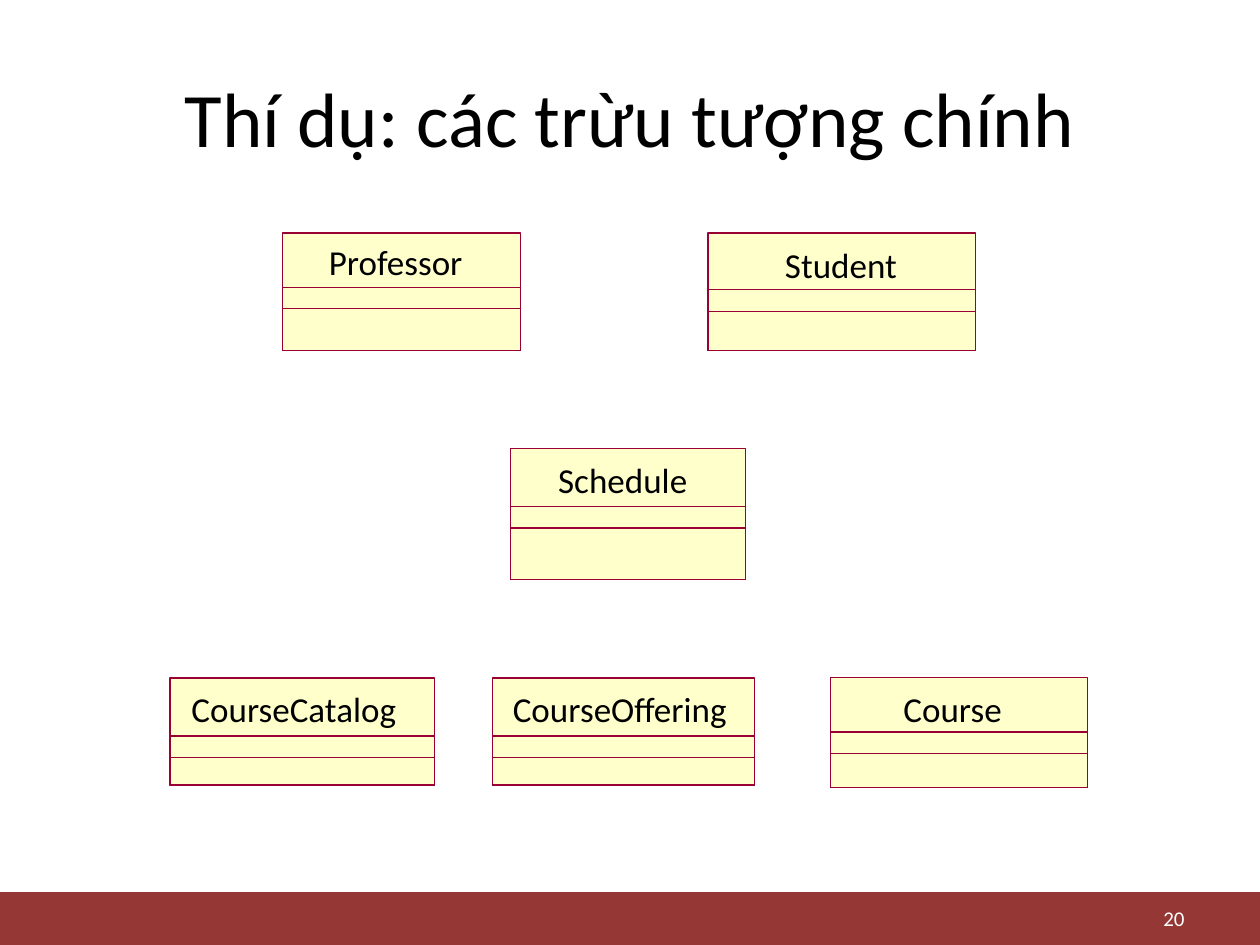
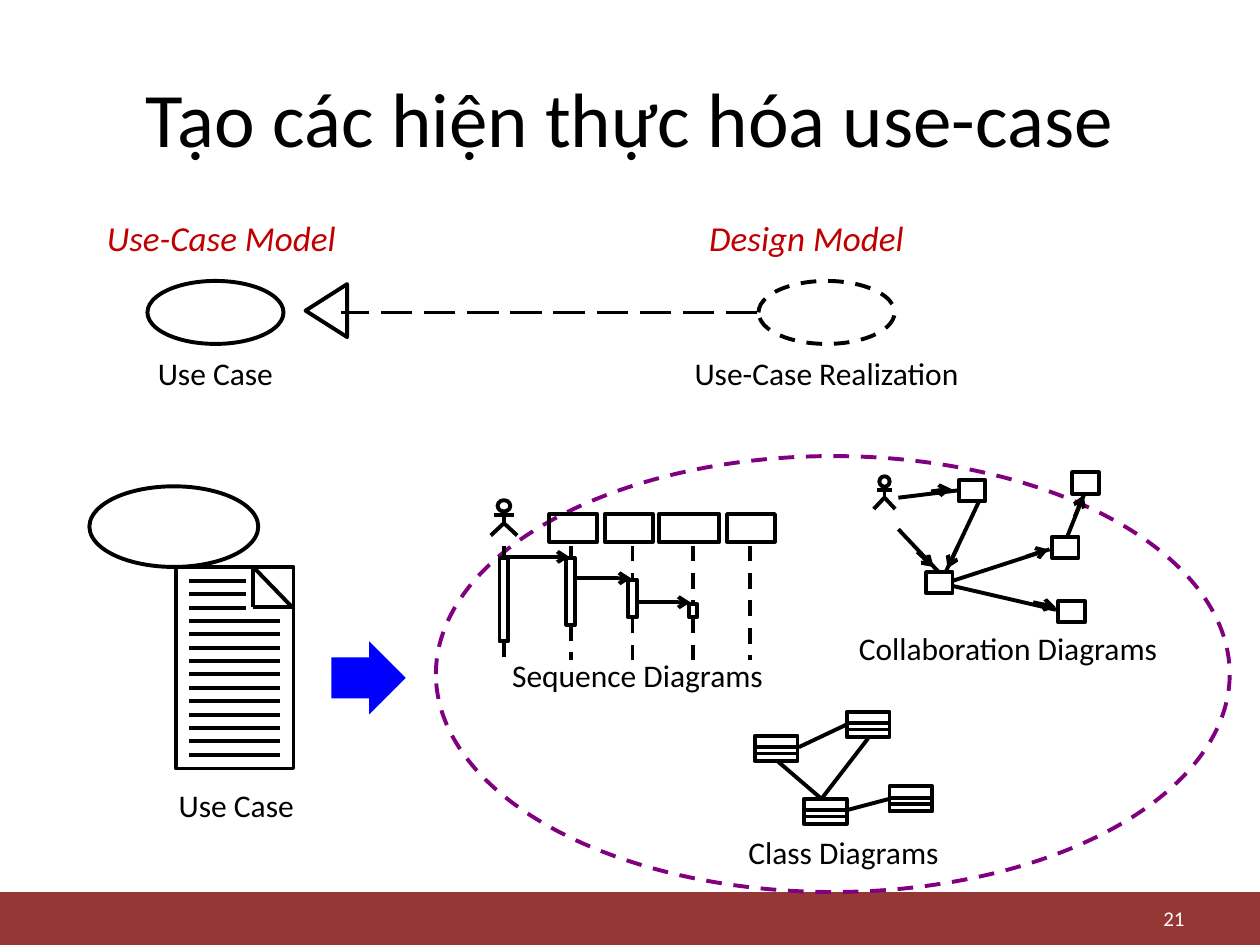
from dataclasses import dataclass
from typing import Optional

import pptx
import pptx.dml.color
import pptx.enum.dml
import pptx.enum.shapes
import pptx.enum.text
import pptx.oxml.ns
import pptx.oxml.xmlchemy
import pptx.shapes.autoshape
import pptx.slide
import pptx.util
from pptx.util import Inches

RGBColor = pptx.dml.color.RGBColor
BLACK = RGBColor(0x00, 0x00, 0x00)
WHITE = RGBColor(0xFF, 0xFF, 0xFF)
BAND_RED = RGBColor(0x95, 0x37, 0x35)
CLASS_FILL = RGBColor(0xFF, 0xFF, 0xCC)
CLASS_LINE = RGBColor(0x99, 0x00, 0x33)
MODEL_RED = RGBColor(0xC0, 0x00, 0x00)
REALIZATION_PURPLE = RGBColor(0x80, 0x00, 0x80)
ARROW_BLUE = RGBColor(0x00, 0x00, 0xFF)

FONT = "Calibri"
STROKE = 2.25
SHAPE = pptx.enum.shapes.MSO_SHAPE
DASH = pptx.enum.dml.MSO_LINE.DASH
LONG_DASH = pptx.enum.dml.MSO_LINE.LONG_DASH
ALIGN = pptx.enum.text.PP_ALIGN
MIDDLE = pptx.enum.text.MSO_ANCHOR.MIDDLE
Slide = pptx.slide.Slide
Shape = pptx.shapes.autoshape.Shape


@dataclass
class ClassBox:
    name: str
    left: float
    top: float
    width: float
    height: float
    name_height: float
    label_indent: float
    label_drop: float = 0.08


@dataclass
class Lifeline:
    x: float
    head_left: Optional[float] = None
    head_width: float = 0.38
    bar_top: Optional[float] = None
    bar_height: float = 0.0
    bar_width: float = 0.07


@dataclass
class Label:
    text: str
    left: float
    top: float
    width: float
    wrap: bool = True


CLASS_BOXES = [
    ClassBox("Student", 5.62, 1.85, 2.12, 0.93, 0.45, 0.61),
    ClassBox("Professor", 2.24, 1.85, 1.89, 0.93, 0.43, 0.37, 0.06),
    ClassBox("Schedule", 4.05, 3.56, 1.87, 1.04, 0.46, 0.38),
    ClassBox("CourseCatalog", 1.35, 5.38, 2.1, 0.85, 0.46, 0.17),
    ClassBox("Course", 6.59, 5.38, 2.04, 0.87, 0.43, 0.58),
    ClassBox("CourseOffering", 3.91, 5.38, 2.08, 0.85, 0.46, 0.16),
]
ATTRIBUTES_HEIGHT = 0.17

LIFELINES = [
    Lifeline(4.0, bar_top=4.43, bar_height=0.66),
    Lifeline(4.53, 4.36, bar_top=4.43, bar_height=0.53),
    Lifeline(5.02, 4.8, bar_top=4.6, bar_height=0.3),
    Lifeline(5.5, 5.23, 0.48, bar_top=4.79, bar_height=0.11, bar_width=0.06),
    Lifeline(5.95, 5.77),
]
LIFELINE_TOP, LIFELINE_BOTTOM = 4.33, 5.24
MESSAGES = [(3.99, 4.52, 4.42), (4.56, 5.01, 4.59), (5.07, 5.48, 4.78)]

CLASS_ICONS = [(5.99, 5.84), (6.72, 5.65), (6.38, 6.34), (7.06, 6.24)]
CLASS_LINKS = [
    (6.52, 6.34, 6.17, 6.04), (6.34, 5.93, 6.72, 5.75),
    (6.72, 6.43, 7.06, 6.34), (6.52, 6.34, 6.89, 5.86),
]

OBJECTS = [(7.61, 3.81), (7.35, 4.54), (8.4, 4.77), (8.35, 4.26), (8.51, 3.75)]
OBJECT_LINKS = [
    (7.13, 4.2, 7.45, 4.54), (7.13, 3.95, 7.62, 3.89), (7.56, 4.65, 8.38, 4.84),
    (7.56, 4.61, 8.33, 4.36), (8.47, 4.26, 8.61, 3.91), (7.77, 3.98, 7.51, 4.53),
]
OBJECT_ARROWS = [
    (7.28, 4.38, 7.41, 4.5), (7.6, 4.34, 7.52, 4.51), (8.14, 4.42, 8.32, 4.36),
    (8.2, 4.78, 8.38, 4.82), (8.53, 4.1, 8.6, 3.93), (7.39, 3.9, 7.55, 3.88),
]

CAPTIONS = [
    Label("Use Case", 1.06, 2.76, 1.3, wrap=False),
    Label("Use-Case Realization", 5.25, 2.76, 2.62, wrap=False),
    Label("Use Case", 1.03, 6.19, 1.69),
    Label("Sequence Diagrams", 3.82, 5.16, 2.48),
    Label("Collaboration Diagrams", 6.59, 4.94, 2.82),
    Label("Class Diagrams", 5.71, 6.56, 1.97, wrap=False),
]
MODEL_HEADINGS = [("Use-Case Model", 0.75), ("Design Model", 5.53)]


def set_text(sp: Shape, text: str, size: float, color: RGBColor = BLACK,
             align: ALIGN = ALIGN.LEFT, italic: bool = False) -> None:
    p = sp.text_frame.paragraphs[0]
    p.alignment = align
    r = p.add_run()
    r.text = text
    for key, value in {"name": FONT, "size": pptx.util.Pt(size), "italic": italic}.items():
        setattr(r.font, key, value)
    r.font.color.rgb = color


def add_text(s: Slide, text: str, left: float, top: float, width: float, height: float,
             size: float, color: RGBColor = BLACK, align: ALIGN = ALIGN.LEFT,
             italic: bool = False, **frame: object) -> None:
    """Add a text box; extra keywords are set on its text frame."""
    sp = s.shapes.add_textbox(Inches(left), Inches(top), Inches(width), Inches(height))
    for key, value in {"word_wrap": True, **frame}.items():
        setattr(sp.text_frame, key, value)
    set_text(sp, text, size, color, align, italic)


def outline(sp: Shape, color: Optional[RGBColor] = BLACK, width: float = STROKE,
            dash: Optional[DASH] = None) -> None:
    sp.shadow.inherit = False
    if color is None:
        sp.line.fill.background()
        return
    sp.line.color.rgb = color
    sp.line.width = pptx.util.Pt(width)
    if dash is not None:
        sp.line.dash_style = dash


def add_shape(s: Slide, kind: SHAPE, left: float, top: float, width: float, height: float,
              fill: Optional[RGBColor] = None, line: Optional[RGBColor] = BLACK,
              line_width: float = STROKE, dash: Optional[DASH] = None) -> Shape:
    sp = s.shapes.add_shape(kind, Inches(left), Inches(top), Inches(width), Inches(height))
    if fill is None:
        sp.fill.background()
    else:
        sp.fill.solid()
        sp.fill.fore_color.rgb = fill
    outline(sp, line, line_width, dash)
    return sp


def add_line(s: Slide, x1: float, y1: float, x2: float, y2: float,
             dash: Optional[DASH] = None, arrow: bool = False) -> None:
    c = s.shapes.add_connector(pptx.enum.shapes.MSO_CONNECTOR.STRAIGHT,
                               Inches(x1), Inches(y1), Inches(x2), Inches(y2))
    c.line.color.rgb = BLACK
    c.line.width = pptx.util.Pt(STROKE)
    if dash is not None:
        c.line.dash_style = dash
    properties = c.element.spPr
    if arrow:
        tail = pptx.oxml.xmlchemy.OxmlElement("a:tailEnd")
        tail.set("type", "arrow")
        properties.find(pptx.oxml.ns.qn("a:ln")).append(tail)
    properties.append(pptx.oxml.xmlchemy.OxmlElement("a:effectLst"))


def add_base_slide(prs: pptx.presentation.Presentation, title: str, number: int) -> Slide:
    """Add a slide with the shared title, footer band and page number."""
    s = prs.slides.add_slide(prs.slide_layouts[5])
    add_shape(s, SHAPE.RECTANGLE, 0, 7.08, 10, 0.42, BAND_RED, None)
    sp = s.shapes.title
    place = {"left": 0.5, "top": 0.3, "width": 9, "height": 1.25}
    for key, value in place.items():
        setattr(sp, key, Inches(value))
    sp.text_frame.vertical_anchor = MIDDLE
    set_text(sp, title, 44, align=ALIGN.CENTER)
    add_text(s, str(number), 7.17, 7.15, 2.33, 0.27, 12, WHITE, ALIGN.RIGHT,
             vertical_anchor=MIDDLE)
    return s


def add_class_box(s: Slide, box: ClassBox) -> None:
    no_margins = dict.fromkeys(("margin_left", "margin_top", "margin_right", "margin_bottom"), 0)
    for drop in (0, box.name_height, box.name_height + ATTRIBUTES_HEIGHT):
        add_shape(s, SHAPE.RECTANGLE, box.left, box.top + drop, box.width, box.height - drop,
                  None if drop else CLASS_FILL, CLASS_LINE, 0)
    add_text(s, box.name, box.left + box.label_indent, box.top + box.label_drop,
             box.width - box.label_indent, 0.33, 20, word_wrap=False, **no_margins)


def add_actor(s: Slide, x: float, top: float, width: float, height: float) -> None:
    """Draw a stick figure centred on x."""
    head, arm, leg = width * 0.48, width * 0.37, width / 2
    shoulder, arms, hip, foot = (top + height * part for part in (0.35, 0.43, 0.65, 1))
    add_shape(s, SHAPE.OVAL, x - head / 2, top, head, height * 0.32)
    add_line(s, x, shoulder, x, hip)
    add_line(s, x - arm, arms, x + arm, arms)
    legs = s.shapes.build_freeform(Inches(x - leg), Inches(foot))
    legs.add_line_segments([(Inches(x), Inches(hip)), (Inches(x + leg), Inches(foot))],
                           close=False)
    sp = legs.convert_to_shape()
    sp.fill.background()
    outline(sp)


def add_models(s: Slide) -> None:
    for text, left in MODEL_HEADINGS:
        add_text(s, text, left, 1.67, 2.83, 0.43, 20, MODEL_RED, italic=True)
    add_shape(s, SHAPE.OVAL, 1.17, 2.23, 1.08, 0.5)
    add_shape(s, SHAPE.OVAL, 6.02, 2.23, 1.08, 0.5, dash=DASH)
    add_line(s, 6.01, 2.48, 2.71, 2.48, LONG_DASH)
    add_shape(s, SHAPE.ISOSCELES_TRIANGLE, 2.38, 2.3, 0.42, 0.33).rotation = 270


def add_use_case_document(s: Slide) -> None:
    add_shape(s, SHAPE.OVAL, 0.71, 3.86, 1.34, 0.64)
    add_shape(s, SHAPE.RECTANGLE, 1.4, 4.5, 0.93, 1.6)
    for fold in ((2.01, 4.5, 2.32, 4.82), (2.01, 4.5, 2.01, 4.82), (2.32, 4.82, 2.01, 4.82)):
        add_line(s, *fold)
    for row in range(14):
        y = 4.61 + row * 1.38 / 13
        add_line(s, 1.5, y, 1.95 if row < 3 else 2.22, y)


def add_sequence_diagram(s: Slide) -> None:
    add_actor(s, 4.0, 3.97, 0.21, 0.28)
    for life in LIFELINES:
        if life.head_left is not None:
            add_shape(s, SHAPE.RECTANGLE, life.head_left, 4.08, life.head_width, 0.22)
        if life.bar_top is None:
            add_line(s, life.x, LIFELINE_TOP, life.x, LIFELINE_BOTTOM, DASH)
            continue
        add_line(s, life.x, LIFELINE_TOP, life.x, life.bar_top, DASH)
        add_line(s, life.x, life.bar_top + life.bar_height, life.x, LIFELINE_BOTTOM, DASH)
        add_shape(s, SHAPE.RECTANGLE, life.x - life.bar_width / 2, life.bar_top,
                  life.bar_width, life.bar_height)
    for x1, x2, y in MESSAGES:
        add_line(s, x1, y, x2, y, arrow=True)


def add_collaboration_diagram(s: Slide) -> None:
    add_actor(s, 7.02, 3.78, 0.17, 0.26)
    for link in OBJECT_LINKS:
        add_line(s, *link)
    for arrow in OBJECT_ARROWS:
        add_line(s, *arrow, arrow=True)
    for left, top in OBJECTS:
        add_shape(s, SHAPE.RECTANGLE, left, top, 0.21, 0.17)


def add_class_diagram(s: Slide) -> None:
    for left, top in CLASS_ICONS:
        add_shape(s, SHAPE.RECTANGLE, left, top, 0.34, 0.2)
        for drop in (0.09, 0.14):
            add_line(s, left, top + drop, left + 0.34, top + drop)
    for link in CLASS_LINKS:
        add_line(s, *link)


def main() -> None:
    prs = pptx.Presentation()
    prs.slide_width, prs.slide_height = Inches(10), Inches(7.5)

    s = add_base_slide(prs, "Thí dụ: các trừu tượng chính", 20)
    for box in CLASS_BOXES:
        add_class_box(s, box)

    s = add_base_slide(prs, "Tạo các hiện thực hóa use-case", 21)
    add_shape(s, SHAPE.OVAL, 3.46, 3.62, 6.3, 3.46, line=REALIZATION_PURPLE, dash=DASH)
    add_models(s)
    add_use_case_document(s)
    arrow = add_shape(s, SHAPE.RIGHT_ARROW, 2.63, 5.09, 0.59, 0.58, ARROW_BLUE, None)
    arrow.adjustments[0] = 0.56
    add_sequence_diagram(s)
    add_collaboration_diagram(s)
    add_class_diagram(s)
    for label in CAPTIONS:
        add_text(s, label.text, label.left, label.top, label.width, 0.4, 18,
                 align=ALIGN.CENTER, word_wrap=label.wrap)

    prs.save("out.pptx")


if __name__ == "__main__":
    main()
